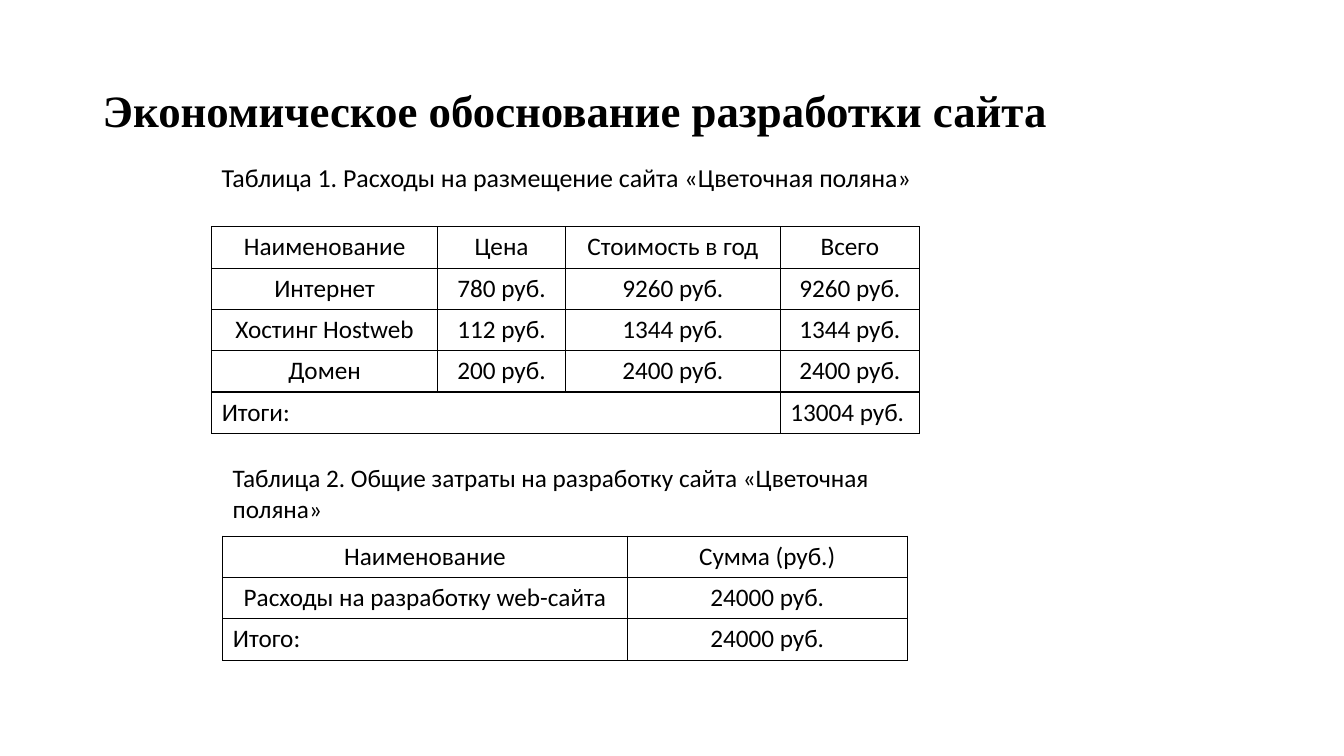
from dataclasses import dataclass

from lxml import etree
from pptx import Presentation
from pptx import util as u
from pptx.dml.color import RGBColor
from pptx.enum import text
from pptx.oxml.ns import qn


@dataclass(frozen=True)
class Theme:
    """Colours, fonts and type sizes of the slide."""
    ink: str = "000000"
    paper: str = "FFFFFF"
    heading_font: str = "Times New Roman"
    body_font: str = "Calibri"
    heading_size: float = 32
    first_caption_size: float = 18.5
    body_size: float = 18
    border: float = 1
    row_height: float = 0.41


class CostSlide:
    """Draws headings, captions and bordered tables on one slide."""

    def __init__(self, slide, theme):
        self.slide = slide
        self.theme = theme
        slide.background.fill.solid()
        slide.background.fill.fore_color.rgb = RGBColor.from_string(theme.paper)

    def add_words(self, paragraph, words, size, font, bold=False):
        """Adds one styled run to a paragraph."""
        run = paragraph.add_run()
        run.text = words
        run.font.size = u.Pt(size)
        run.font.name = font
        run.font.bold = bold
        run.font.color.rgb = RGBColor.from_string(self.theme.ink)

    def text_frame(self, left, top, width, height):
        """Adds a wrapping text box and returns its frame."""
        box = self.slide.shapes.add_textbox(*map(u.Inches, (left, top, width, height)))
        box.text_frame.word_wrap = True
        return box.text_frame

    def heading(self, words, left, top, width, height):
        """Adds the slide heading."""
        frame = self.text_frame(left, top, width, height)
        frame.vertical_anchor = text.MSO_ANCHOR.MIDDLE
        frame.paragraphs[0].line_spacing = 0.9
        self.add_words(frame.paragraphs[0], words, self.theme.heading_size,
                       self.theme.heading_font, bold=True)

    def caption(self, words, left, top, width, height, size):
        """Adds a table caption."""
        frame = self.text_frame(left, top, width, height)
        frame.auto_size = text.MSO_AUTO_SIZE.SHAPE_TO_FIT_TEXT
        self.add_words(frame.paragraphs[0], words, size, self.theme.body_font)

    def outline(self, cell):
        """Draws the four borders of a cell and clears its fill."""
        properties = cell._tc.get_or_add_tcPr()
        for side in ("a:lnL", "a:lnR", "a:lnT", "a:lnB"):
            line = etree.SubElement(properties, qn(side), w=str(u.Pt(self.theme.border)))
            fill = etree.SubElement(line, qn("a:solidFill"))
            etree.SubElement(fill, qn("a:srgbClr"), val=self.theme.ink)
        cell.fill.background()

    def table(self, rows, widths, left, top, left_aligned, merged=None):
        """Adds a bordered table with centred cells except the listed ones."""
        height = self.theme.row_height * len(rows)
        table = self.slide.shapes.add_table(
            len(rows), len(widths),
            *map(u.Inches, (left, top, sum(widths), height))).table
        table.first_row = table.horz_banding = False
        for column, width in zip(table.columns, widths):
            column.width = u.Inches(width)
        for r, row in enumerate(rows):
            for c, words in enumerate(row):
                cell = table.cell(r, c)
                self.outline(cell)
                if words:
                    paragraph = cell.text_frame.paragraphs[0]
                    paragraph.alignment = (text.PP_ALIGN.LEFT if (r, c) in left_aligned
                                           else text.PP_ALIGN.CENTER)
                    self.add_words(paragraph, words, self.theme.body_size,
                                   self.theme.body_font)
        if merged:
            first, last = merged
            table.cell(*first).merge(table.cell(*last))


def main():
    """Builds the slide and saves it."""
    deck = Presentation()
    deck.slide_width, deck.slide_height = u.Inches(13.33), u.Inches(7.5)
    theme = Theme()
    costs = CostSlide(deck.slides.add_slide(deck.slide_layouts[6]), theme)

    costs.heading("Экономическое обоснование разработки сайта", 0.92, 0.4, 11.5, 1.45)
    hosting = [
        ("Наименование", "Цена", "Стоимость в год", "Всего"),
        ("Интернет", "780 руб.", "9260 руб.", "9260 руб."),
        ("Хостинг Hostweb", "112 руб.", "1344 руб.", "1344 руб."),
        ("Домен", "200 руб.", "2400 руб.", "2400 руб."),
        ("Итоги:", "", "", "13004 руб."),
    ]
    costs.table(hosting, (2.24, 1.27, 2.13, 1.38), 2.1, 2.25,
                left_aligned={(4, 0), (4, 3)}, merged=((4, 0), (4, 2)))
    costs.caption("Таблица 1. Расходы на размещение сайта «Цветочная поляна»",
                  2.1, 1.55, 7.24, 0.41, theme.first_caption_size)
    costs.caption("Таблица 2. Общие затраты на разработку сайта «Цветочная поляна»",
                  2.21, 4.54, 6.82, 0.71, theme.body_size)
    development = [
        ("Наименование", "Сумма (руб.)"),
        ("Расходы на разработку web-сайта", "24000 руб."),
        ("Итого:", "24000 руб."),
    ]
    costs.table(development, (4.01, 2.78), 2.21, 5.32, left_aligned={(2, 0)})
    deck.save("out.pptx")


if __name__ == "__main__":
    main()
